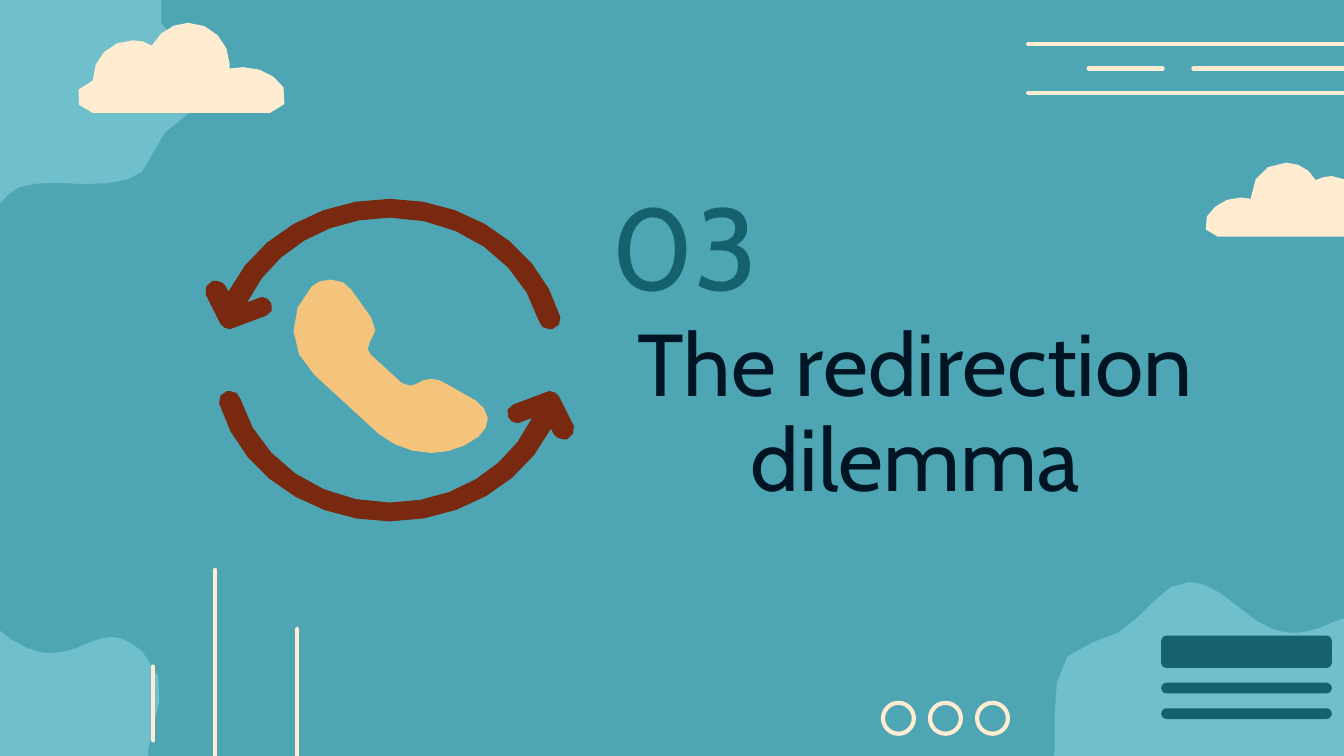
import math

import pptx
import pptx.dml.color
import pptx.enum.shapes
import pptx.enum.text
import pptx.oxml
import pptx.oxml.ns
import pptx.util

# Grid: 100 columns by 56.25 rows of square cells
CELL = pptx.util.Inches(0.1)
COLUMNS, ROWS = 100, 56.25

COLORS = {
    "background": "4EA6B4",
    "blob": "70BFCC",
    "cream": "FFECD1",
    "teal": "15616D",
    "ink": "001524",
    "phone": "F4C47C",
    "arrow": "78290F",
}

# Outlines: a pair is a line to that point, six numbers are a Bezier curve
HILL = [
    (88.5, 43.3), (85.9, 43.3, 85, 47.1, 81.3, 47.8),
    (76.2, 48.7, 80.2, 57.6, 77.3, 59), (75.9, 61.4), (78.2, 64.8), (105.2, 64.8),
    (106.4, 63.4), (107.5, 61.7, 108.6, 58.9, 105.4, 57.4),
    (100.5, 55.1, 107, 50.5, 103.1, 47),
    (102.2, 46.2, 101.5, 45.9, 100.8, 45.9),
    (100.1, 45.9, 99.4, 46.2, 98.7, 46.5), (98, 46.8, 97.2, 47.1, 96.3, 47.1),
    (95.2, 47.1, 93.9, 46.7, 92.2, 45.2), (90.6, 43.8, 89.4, 43.3, 88.5, 43.3),
]
CORNER = [
    (-0.6, -7.1), (2.1, -5.6), (4.6, -4.2), (9.3, -4.9),
    (10.2, -4.9, 11.2, -4.7, 12, -3.9),
    (15.4, -1.2, 8.9, -0.4, 13.7, 3.9), (18.5, 8.2, 12.1, 8, 11.2, 11.7),
    (10.8, 13.5, 8.6, 13.7, 6.2, 13.7), (4.1, 13.6),
    (2.5, 13.6, 1.1, 13.8, 0.6, 14.5), (0.2, 15.3, -0.7, 15.5, -1.7, 15.5),
    (-4.8, 13.3), (-4.9, -4.4), (-3.5, -6.3),
]
LEFT_CLOUD = [
    (14, 1.7), (12.9, 1.7, 11.8, 2.4, 11.3, 3.4), (10.9, 3.1, 10.4, 3, 9.9, 3),
    (8.2, 3, 6.9, 4.3, 6.9, 6), (5.3, 6.1, 5.4, 8.4, 6.9, 8.4), (20.1, 8.4),
    (21.1, 8.4, 21.6, 7.3, 21.1, 6.5), (20.5, 5.6, 19.4, 5, 18.1, 5),
    (17.1, 5.1), (17.1, 4.8), (17.1, 3.1, 15.7, 1.7, 14, 1.7),
]
RIGHT_CLOUD = [
    (95.7, 12.1), (94.2, 12.1, 93.1, 13.2, 93.1, 14.6), (93.1, 14.8), (92.3, 14.7),
    (91.2, 14.7, 90.3, 15.3, 89.8, 16.1), (89.3, 16.7, 89.8, 17.6, 90.6, 17.6),
    (101.5, 17.6), (102.8, 17.6, 102.9, 15.7, 101.6, 15.6),
    (101.6, 14.2, 100.5, 13.1, 99.1, 13.1), (98.7, 13.1, 98.3, 13.2, 97.9, 13.4),
    (97.5, 12.6, 96.6, 12.1, 95.7, 12.1),
]
PHONE = [
    (24.6, 20.8), (24, 20.8, 23.5, 21, 23.2, 21.3),
    (21.3, 23.2, 21.4, 26.1, 23.4, 27.9), (28.2, 32.3),
    (29.3, 33.2, 30.7, 33.7, 32.1, 33.7), (33.3, 33.7, 34.6, 33.3, 35.6, 32.5),
    (36.1, 32.1, 36.3, 31.6, 36.3, 31.1), (36.2, 30.6, 35.9, 30.1, 35.4, 29.8),
    (33.1, 28.5), (32.8, 28.3, 32.5, 28.2, 32.1, 28.2),
    (31.7, 28.2, 31.3, 28.3, 30.9, 28.6), (30.5, 28.7), (29.9, 28.5), (27.6, 26.4),
    (27.3, 26.2, 27.3, 25.8, 27.5, 25.5), (28, 25, 28.1, 24.2, 27.6, 23.6),
    (26.1, 21.5), (25.8, 21.1, 25.3, 20.8, 24.6, 20.8),
]
ARROW = [
    (17.1, 29.1), (16.9, 29.1), (16.5, 29.2, 16.2, 29.6, 16.3, 30),
    (17.8, 35.2, 23.1, 38.8, 29, 38.8), (34.2, 38.8, 38.9, 36.1, 41, 31.9),
    (41.2, 32.3), (41.3, 32.5, 41.6, 32.7, 41.9, 32.7), (42.2, 32.7),
    (42.6, 32.5, 42.8, 32.1, 42.7, 31.7), (41.6, 29.5),
    (41.5, 29.3, 41.2, 29.1, 40.9, 29.1), (40.6, 29.2), (38.2, 30.1),
    (37.8, 30.2, 37.6, 30.7, 37.8, 31), (37.9, 31.3, 38.2, 31.5, 38.5, 31.5),
    (38.8, 31.4), (39.6, 31.1), (37.8, 34.9, 33.7, 37.4, 29, 37.4),
    (23.8, 37.4, 19.2, 34.2, 17.9, 29.7), (17.8, 29.3, 17.5, 29.1, 17.1, 29.1),
]


def cells(count):
    return pptx.util.Emu(round(count * CELL))


def color(name):
    return pptx.dml.color.RGBColor.from_string(COLORS[name])


def flatten(outline):
    """Turn lines and Bezier curves into points, more on longer curves."""
    points = [outline[0]]
    for segment in outline[1:]:
        if len(segment) == 2:
            points.append(segment)
            continue
        start, first, second, end = points[-1], segment[:2], segment[2:4], segment[4:]
        steps = max(2, round(1.7 * math.sqrt(math.dist(start, end))))
        for step in range(1, steps + 1):
            t = step / steps
            u = 1 - t
            points.append(tuple(
                u**3 * a + 3 * u * u * t * b + 3 * u * t * t * c + t**3 * d
                for a, b, c, d in zip(start, first, second, end)))
    return points


class SlideBuilder:
    font_name = "Cabin"
    line_width = pptx.util.Pt(2.25)

    def __init__(self, slide):
        self.shapes = slide.shapes
        slide.background.fill.solid()
        slide.background.fill.fore_color.rgb = color("background")

    def paint(self, shape, fill):
        shape.shadow.inherit = False
        shape.fill.solid()
        shape.fill.fore_color.rgb = color(fill)
        shape.line.fill.background()

    def outline(self, outline, fill, shift=(0, 0), sign=1):
        """Draw an outline; sign -1 turns it half round before the shift."""
        points = [(cells(sign * x + shift[0]), cells(sign * y + shift[1]))
                  for x, y in flatten(outline)]
        builder = self.shapes.build_freeform(*points[0])
        builder.add_line_segments(points[1:], close=True)
        self.paint(builder.convert_to_shape(), fill)

    def bar(self, left, top, width, height, radius):
        shape = self.shapes.add_shape(
            pptx.enum.shapes.MSO_SHAPE.ROUNDED_RECTANGLE,
            *map(cells, (left, top, width, height)))
        shape.adjustments[0] = radius / height
        self.paint(shape, "teal")

    def ring(self, left, top, size):
        shape = self.shapes.add_shape(
            pptx.enum.shapes.MSO_SHAPE.OVAL, *map(cells, (left, top, size, size)))
        shape.shadow.inherit = False
        shape.fill.background()
        shape.line.color.rgb = color("cream")
        shape.line.width = self.line_width

    def line(self, x1, y1, x2, y2):
        connector = self.shapes.add_connector(
            pptx.enum.shapes.MSO_CONNECTOR.STRAIGHT, *map(cells, (x1, y1, x2, y2)))
        connector.line.color.rgb = color("cream")
        connector.line.width = self.line_width
        properties = connector._element.spPr
        properties.find(pptx.oxml.ns.qn("a:ln")).set("cap", "rnd")
        properties.append(pptx.oxml.parse_xml(
            f'<a:effectLst {pptx.oxml.ns.nsdecls("a")}/>'))

    def text(self, placeholder, text, box, size, ink, align, spacing=1.0):
        placeholder.left, placeholder.top, placeholder.width, placeholder.height = map(cells, box)
        frame = placeholder.text_frame
        frame.text = text
        frame.word_wrap = True
        frame.auto_size = pptx.enum.text.MSO_AUTO_SIZE.NONE
        frame.vertical_anchor = pptx.enum.text.MSO_ANCHOR.MIDDLE
        frame.margin_left = frame.margin_right = cells(1)
        frame.margin_top = frame.margin_bottom = cells(1)
        paragraph = frame.paragraphs[0]
        paragraph.alignment = align
        paragraph.line_spacing = spacing
        paragraph.space_before = pptx.util.Pt(0)
        paragraph.font.name = self.font_name
        paragraph.font.size = pptx.util.Pt(size)
        paragraph.font.color.rgb = color(ink)


def main():
    presentation = pptx.Presentation()
    presentation.slide_width, presentation.slide_height = cells(COLUMNS), cells(ROWS)
    slide = presentation.slides.add_slide(presentation.slide_layouts[0])
    builder = SlideBuilder(slide)

    # Background blobs
    builder.outline(HILL, "blob")
    builder.outline(CORNER, "blob")
    builder.outline(HILL, "blob", shift=(-92.5, 1.5))

    # Wind lines at the top right, posts at the bottom left
    for left, right, row in ((76.5, 100, 6.9), (88.8, 100, 5.1),
                             (81, 86.5, 5.1), (76.5, 100, 3.3)):
        builder.line(left, row, right, row)
    for column, top, bottom in ((16, 42.4, 65.9), (22.1, 46.8, 58), (11.4, 49.6, 55.1)):
        builder.line(column, top, column, bottom)

    # Window bars and rings at the bottom right
    for top, height in ((47.3, 2.4), (50.8, 0.8), (52.7, 0.8)):
        builder.bar(86.4, top, 12.7, height, radius=0.4)
    for index in range(3):
        builder.ring(65.7 + 3.5 * index, 52.3, 2.3)

    # Clouds
    builder.outline(LEFT_CLOUD, "cream")
    builder.outline(RIGHT_CLOUD, "cream")

    # Phone between two arrows, the upper one turned half round
    builder.outline(PHONE, "phone")
    builder.outline(ARROW, "arrow")
    builder.outline(ARROW, "arrow", shift=(58, 53.6), sign=-1)

    # Section title and number
    builder.text(slide.shapes.title, "The redirection dilemma", (42.8, 23, 50.6, 15.8),
                 47, "ink", pptx.enum.text.PP_ALIGN.CENTER, spacing=0.9)
    builder.text(slide.placeholders[1], "03", (44.5, 13.6, 13.3, 9.2),
                 62, "teal", pptx.enum.text.PP_ALIGN.LEFT)

    presentation.save("out.pptx")


if __name__ == "__main__":
    main()
